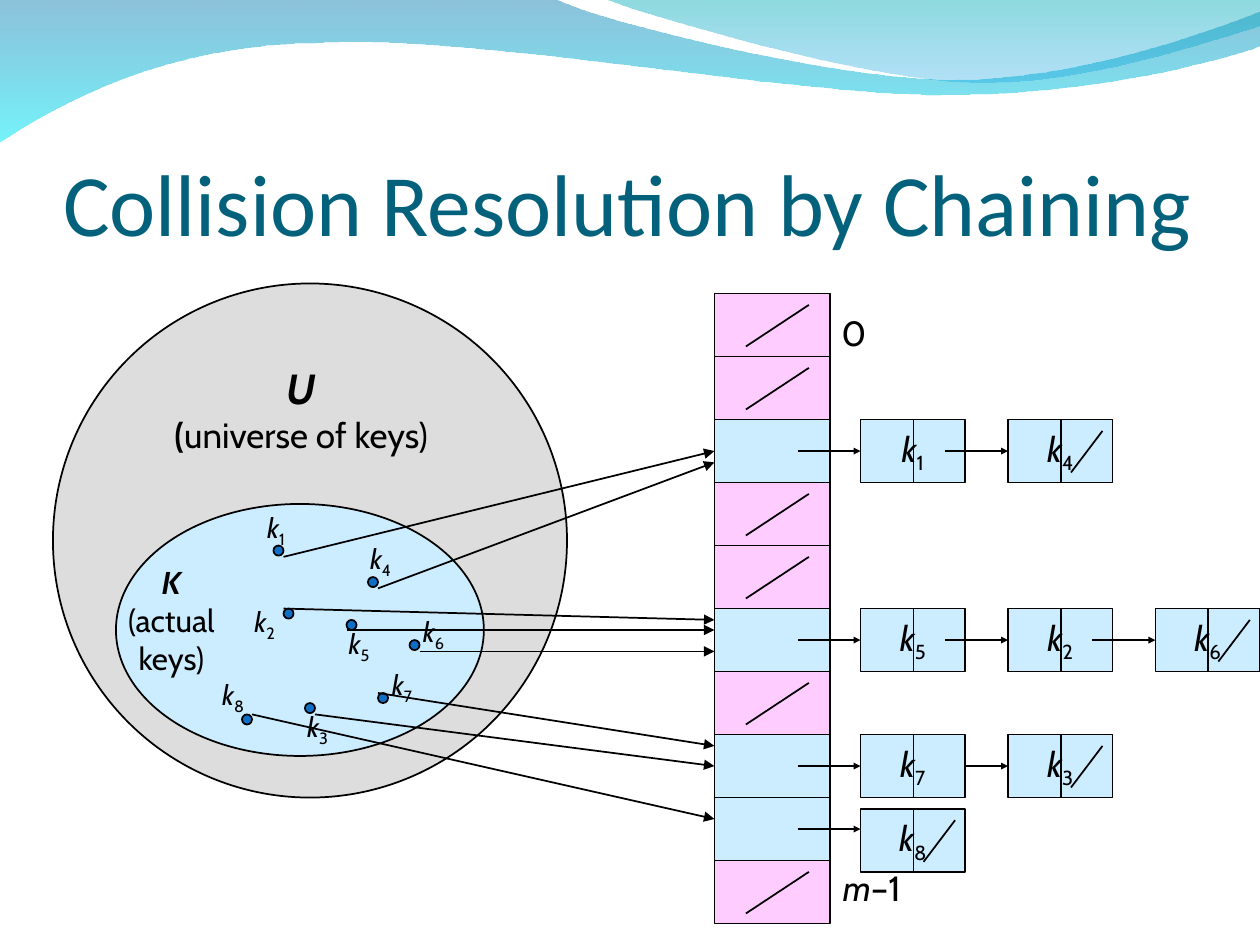
from lxml import etree
from pptx import Presentation
from pptx.dml.color import RGBColor
from pptx.enum.shapes import MSO_CONNECTOR, MSO_SHAPE
from pptx.enum.text import MSO_ANCHOR, MSO_AUTO_SIZE, PP_ALIGN
from pptx.oxml.ns import qn
from pptx.util import Inches, Pt

RECTANGLE, OVAL = MSO_SHAPE.RECTANGLE, MSO_SHAPE.OVAL
STRAIGHT = MSO_CONNECTOR.STRAIGHT
LEFT, CENTER = PP_ALIGN.LEFT, PP_ALIGN.CENTER
MIDDLE, BOTTOM = MSO_ANCHOR.MIDDLE, MSO_ANCHOR.BOTTOM
GROW, FIXED = MSO_AUTO_SIZE.SHAPE_TO_FIT_TEXT, MSO_AUTO_SIZE.NONE

BLACK, BLUE, PINK = "000000", "CCECFF", "FFCCFF"
GREY, DOT_BLUE, TITLE_TEAL = "DDDDDD", "0F6FC6", "04617B"

TITLE_BOX = (0.5, 0.77, 9, 1.25)
UNIVERSE_BOX = (0.42, 2.25, 4.08, 4.08)
TABLE_BOX = (5.67, 2.33, 0.92, 5)
SLOT_COUNT, SLOT_HEIGHT = 10, 0.5
NODE_WIDTH, NODE_STEP, DOT_SIZE = 0.83, 1.17, 0.08
CHAINS = {2: "14", 5: "526", 7: "73", 8: "8"}

DOTS = {
    "1": (1.75, 2.08), "4": (2.5, 2.33), "2": (1.83, 2.58), "5": (2.33, 2.67),
    "3": (2, 3.33), "8": (1.5, 3.42), "6": (2.83, 2.83), "7": (2.58, 3.25),
}
LABEL_OFFSETS = {
    "1": (-0.17, -0.33), "2": (-0.34, -0.08), "3": (-0.09, 0), "5": (-0.09, 0),
    "4": (-0.09, -0.33), "6": (0, -0.25), "7": (0, -0.25), "8": (-0.26, -0.34),
}
LINKS = {
    "1": (0.08, 0.09, 1.25), "4": (0.08, 0.09, 1.34), "2": (0, 0, 2.59), "5": (0, 0.08, 2.67),
    "6": (0.08, 0.09, 2.84), "7": (0, 0, 3.59), "3": (0.08, 0.09, 3.75), "8": (0.08, 0, 4.17),
}

BACK_WAVE = [
    [(0, -0.01)],
    [(4.4, -0.01)],
    [(4.76, 0.17), (6.64, 0.63), (7.58, 0.63)],
    [(8.53, 0.63), (9.58, 0.26), (10, 0.09)],
    [(10.01, 0.36)],
    [(9.83, 0.44), (8.7, 0.76), (7.46, 0.75)],
    [(6.22, 0.75), (3.82, 0.28), (2.57, 0.34)],
    [(1.29, 0.35), (0.46, 0.83), (-0.01, 1.13)],
]
FRONT_WAVE = [
    [(4.79, -0.01)],
    [(5.09, 0.11), (6.82, 0.62), (7.69, 0.65)],
    [(8.56, 0.69), (9.61, 0.32), (10, 0.21)],
    [(10, 0)],
]


def color(hex_value):
    return RGBColor.from_string(hex_value)


def bend(shape, segments):
    lines = iter(list(shape._element.spPr.iter(qn("a:lnTo"))))
    for segment in segments:
        group = [next(lines) for _ in segment]
        if len(group) == 3:
            curve = etree.Element(qn("a:cubicBezTo"))
            group[0].addprevious(curve)
            for line in group:
                curve.append(line[0])
                line.getparent().remove(line)


def add_wave(page, segments, stops):
    points = [(Inches(x), Inches(y)) for segment in segments for x, y in segment]
    builder = page.shapes.build_freeform(*points[0], scale=1.0)
    builder.add_line_segments(points[1:], close=True)
    wave = builder.convert_to_shape()
    bend(wave, segments[1:])
    wave.shadow.inherit = False
    wave.line.fill.background()
    wave.fill.gradient()
    wave.fill.gradient_angle = 270
    for stop, (hex_value, _) in zip(wave.fill.gradient_stops, stops):
        stop.color.rgb = color(hex_value)
    for tint, (_, opacity) in zip(wave._element.spPr.iter(qn("a:srgbClr")), stops):
        etree.SubElement(tint, qn("a:alpha")).set("val", str(opacity * 1000))


def add_box(page, kind, box, fill):
    shape = page.shapes.add_shape(kind, *map(Inches, box))
    shape.shadow.inherit = False
    shape.fill.solid()
    shape.fill.fore_color.rgb = color(fill)
    shape.line.color.rgb = color(BLACK)
    shape.line.width = Pt(1)
    return shape


def add_line(page, start, end, head=None):
    connector = page.shapes.add_connector(STRAIGHT, *map(Inches, start + end))
    connector.line.color.rgb = color(BLACK)
    connector.line.width = Pt(1)
    properties = connector._element.spPr
    if head:
        tail = etree.SubElement(properties.find(qn("a:ln")), qn("a:tailEnd"))
        for name, value in {"type": "triangle", "w": head, "len": head}.items():
            tail.set(name, value)
    etree.SubElement(properties, qn("a:effectLst"))


def write(frame, paragraphs, size):
    frame.word_wrap = False
    for index, spans in enumerate(paragraphs):
        para = frame.add_paragraph() if index else frame.paragraphs[0]
        para.alignment = CENTER
        for text, extra in spans:
            span = para.add_run()
            span.text = text
            span.font.color.rgb = color(BLACK)
            formats = {"name": "Cabin", "size": Pt(size), **extra}
            baseline = formats.pop("baseline", None)
            for name, value in formats.items():
                setattr(span.font, name, value)
            if baseline:
                span._r.get_or_add_rPr().set("baseline", baseline)


def add_label(page, box, paragraphs, size):
    label = page.shapes.add_textbox(*map(Inches, box))
    write(label.text_frame, paragraphs, size)
    label.text_frame.auto_size = GROW


def key_name(digit):
    return [[("k", {"italic": True}), (digit, {"baseline": "-25000"})]]


def add_title(page, box, text):
    title = page.shapes.title
    title.left, title.top, title.width, title.height = map(Inches, box)
    frame = title.text_frame
    frame.text = text
    settings = {"auto_size": FIXED, "vertical_anchor": BOTTOM, "margin_left": 0,
                "margin_right": 0, "margin_top": Inches(0.05), "margin_bottom": 0}
    for name, value in settings.items():
        setattr(frame, name, value)
    para = frame.paragraphs[0]
    para.alignment = LEFT
    for name, value in {"name": "Calibri", "size": Pt(50)}.items():
        setattr(para.font, name, value)
    para.font.color.rgb = color(TITLE_TEAL)


def add_slots(page, box):
    left, top, width, _ = box
    add_box(page, RECTANGLE, box, PINK)
    for row in range(1, SLOT_COUNT):
        y = top + row * SLOT_HEIGHT
        add_line(page, (left, y), (left + width, y))
    for row in CHAINS:
        add_box(page, RECTANGLE, (left, top + row * SLOT_HEIGHT, width, SLOT_HEIGHT), BLUE)
    add_label(page, (left + 0.91, top + 0.09, 0.36, 0.44), [[("0", {})]], 20)
    add_label(page, (left + 0.88, top + 4.5, 0.74, 0.44),
              [[("m", {"italic": True}), ("–1", {})]], 20)


def add_universe(page, box):
    left, top = box[:2]
    strong = {"bold": True, "italic": True}
    add_box(page, OVAL, box, GREY)
    add_box(page, OVAL, (left + 0.5, top + 1.75, 2.92, 2), BLUE)
    add_label(page, (left + 0.73, top + 0.58, 2.48, 0.84),
              [[("U", {"size": Pt(24), **strong})],
               [("(", {"bold": True}), ("universe of keys)", {})]], 20)
    add_label(page, (left + 0.45, top + 2.17, 0.98, 1),
              [[("K", strong)], [("(actual", {})], [("keys)", {})]], 18)
    for digit, (x, y) in DOTS.items():
        dx, dy = LABEL_OFFSETS[digit]
        add_box(page, OVAL, (left + x, top + y, DOT_SIZE, DOT_SIZE), DOT_BLUE)
        add_label(page, (left + x + dx, top + y + dy, 0.38, 0.41), key_name(digit), 16)


def add_links(page, universe, table):
    for digit, (dx, dy, drop) in LINKS.items():
        x, y = DOTS[digit]
        start = (universe[0] + x + dx, universe[1] + y + dy)
        add_line(page, start, (table[0], table[1] + drop), "med")


def add_chain(page, box, digits, arrow_y, arrow_length):
    left, top, width, height = box
    for index, digit in enumerate(digits):
        x = left + index * NODE_STEP
        node = add_box(page, RECTANGLE, (x, top, width, height), BLUE)
        node.text_frame.vertical_anchor = MIDDLE
        write(node.text_frame, key_name(digit), 20)
        add_line(page, (x + 0.42, top), (x + 0.42, top + height))
        length = arrow_length if index else 0.5
        add_line(page, (x - length, arrow_y), (x, arrow_y), "sm")
    add_line(page, (x + 0.75, top + 0.09), (x + 0.5, top + 0.42))


def add_slot_contents(page, box):
    left, top = box[:2]
    for row in range(SLOT_COUNT):
        y = top + row * SLOT_HEIGHT
        if row in CHAINS:
            node_top = y + 0.09 if row == 8 else y
            length = 0.34 if row == 7 else 0.5
            add_chain(page, (left + 1.16, node_top, NODE_WIDTH, SLOT_HEIGHT),
                      CHAINS[row], y + 0.25, length)
        else:
            add_line(page, (left + 0.75, y + 0.09), (left + 0.25, y + 0.42))


def main():
    deck = Presentation()
    deck.slide_width, deck.slide_height = Inches(10), Inches(7.5)
    page = deck.slides.add_slide(deck.slide_layouts[5])
    add_wave(page, BACK_WAVE, [("0079AF", 45), ("00EBF8", 55)])
    add_wave(page, FRONT_WAVE, [("00ADB6", 45), ("009BE5", 30)])
    add_title(page, TITLE_BOX, "Collision Resolution by Chaining")
    add_slots(page, TABLE_BOX)
    add_universe(page, UNIVERSE_BOX)
    add_links(page, UNIVERSE_BOX, TABLE_BOX)
    add_slot_contents(page, TABLE_BOX)
    deck.save("out.pptx")


if __name__ == "__main__":
    main()
